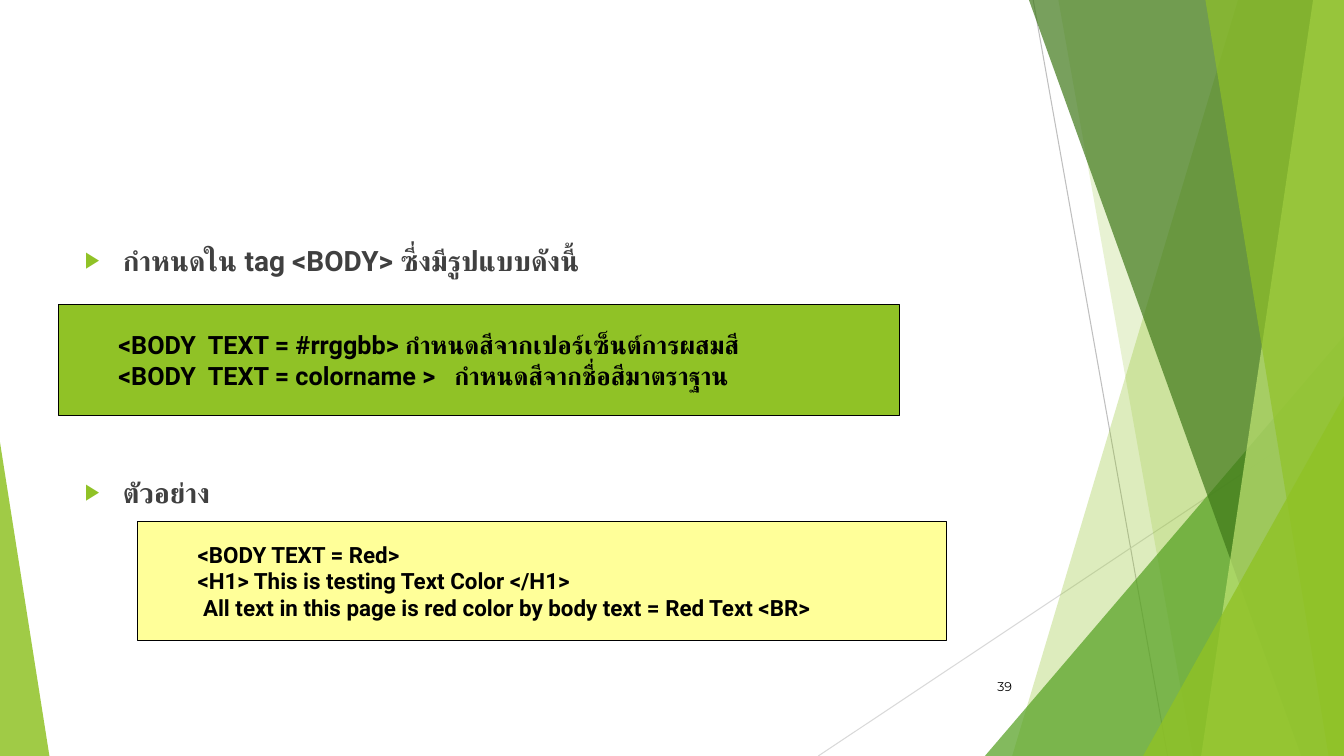
"""Build the slide on setting the text colour in the BODY tag."""
from lxml import etree
from pptx import Presentation
from pptx.dml.color import RGBColor
from pptx.enum import shapes, text
from pptx.oxml import ns
from pptx.util import Pt

COLORS = {
    "lime": "90C226", "green": "54A021", "forest": "3F7819", "pale": "C0E474",
    "yellow": "FFFF99", "grey": "BFBFBF", "light": "D9D9D9",
    "ink": "404040", "black": "000000", "white": "FFFFFF",
}
WIDTH, HEIGHT = 960, 540


def paint(shape, color, opacity=100):
    shape.shadow.inherit = False
    shape.line.fill.background()
    shape.fill.solid()
    shape.fill.fore_color.rgb = RGBColor.from_string(COLORS[color])
    if opacity < 100:
        tint = shape.fill._xPr.find(".//" + ns.qn("a:srgbClr"))
        etree.SubElement(tint, ns.qn("a:alpha"), val=str(opacity * 1000))


def format_font(paragraph, color, **values):
    for name, value in values.items():
        setattr(paragraph.font, name, value)
    paragraph.font.color.rgb = RGBColor.from_string(COLORS[color])


prs = Presentation()
prs.slide_width, prs.slide_height = Pt(WIDTH), Pt(HEIGHT)
slide = prs.slides.add_slide(prs.slide_layouts[1])
slide.background.fill.solid()
slide.background.fill.fore_color.rgb = RGBColor.from_string(COLORS["white"])
heading = slide.shapes.title
heading.element.getparent().remove(heading.element)
topics = slide.placeholders[1]

rays = [("grey", 738, 0, 834, HEIGHT), ("light", WIDTH, 290, 584.5, HEIGHT)]
for color, *ends in rays:
    ray = slide.shapes.add_connector(
        shapes.MSO_CONNECTOR.STRAIGHT, *[Pt(end) for end in ends])
    ray.line.color.rgb = RGBColor.from_string(COLORS[color])
    ray.line.width = Pt(0.75)
    etree.SubElement(ray._element.spPr, ns.qn("a:effectLst"))

bands = [
    ("lime", 30, 884.3, 723), ("lime", 20, 756, 852),
    ("green", 72, 703.5, 240, 256.5, 1),
    ("forest", 70, 735, 929.5), ("pale", 70, 938, 858), ("lime", 65, 861, 949),
    ("lime", 80, 816.5, 283, 143.5, 1), ("lime", 85, 0, 316, 35.3, 0),
]
for color, opacity, *place in bands:
    if len(place) == 2:
        top_x, bottom_x = place
        outline = slide.shapes.build_freeform(Pt(top_x), 0)
        outline.add_line_segments([
            (Pt(WIDTH), 0), (Pt(WIDTH), Pt(HEIGHT)), (Pt(bottom_x), Pt(HEIGHT))])
        band = outline.convert_to_shape()
    else:
        left, top, width, apex = place
        band = slide.shapes.add_shape(
            shapes.MSO_SHAPE.ISOSCELES_TRIANGLE,
            Pt(left), Pt(top), Pt(width), Pt(HEIGHT - top))
        band.adjustments[0] = apex
    paint(band, color, opacity)

topics.left, topics.top, topics.width, topics.height = Pt(53.5), Pt(170), Pt(677), Pt(305)
topics.text_frame.auto_size = text.MSO_AUTO_SIZE.NONE
topics.text_frame.vertical_anchor = text.MSO_ANCHOR.TOP
topics.text_frame.text = "กำหนดใน tag <BODY> ซี่งมีรูปแบบดังนี้\nตัวอย่าง"
for topic, gap in zip(topics.text_frame.paragraphs, (0, 142)):
    topic.space_before = Pt(gap)
    props = topic._p.get_or_add_pPr()
    props.set("marL", str(Pt(27)))
    props.set("indent", str(Pt(-27)))
    bullet_color = etree.SubElement(props, ns.qn("a:buClr"))
    etree.SubElement(bullet_color, ns.qn("a:srgbClr"), val=COLORS["lime"])
    etree.SubElement(props, ns.qn("a:buSzPct"), val="80000")
    etree.SubElement(props, ns.qn("a:buChar"), char="▶")
    format_font(topic, "ink", name="Roboto", size=Pt(20), bold=True)

page = slide.shapes.add_textbox(Pt(676), Pt(476), Pt(54), Pt(29)).text_frame
page.word_wrap = True
page.vertical_anchor = text.MSO_ANCHOR.MIDDLE
page.text = "39"
page.paragraphs[0].alignment = text.PP_ALIGN.RIGHT
format_font(page.paragraphs[0], "black", name="Montserrat", size=Pt(9))

panels = [
    ("lime", 18, (41.5, 217.5, 601, 79), [
        "<BODY  TEXT = #rrggbb> กำหนดสีจากเปอร์เซ็นต์การผสมสี",
        "<BODY  TEXT = colorname >   กำหนดสีจากชื่อสีมาตราฐาน"]),
    ("yellow", 16, (98, 372.5, 578, 85), [
        "<BODY TEXT = Red>",
        "<H1> This is testing Text Color </H1>",
        " All text in this page is red color by body text = Red Text <BR>"]),
]
for color, size, box, code in panels:
    panel = slide.shapes.add_shape(
        shapes.MSO_SHAPE.RECTANGLE, *[Pt(length) for length in box])
    paint(panel, color)
    panel.line.color.rgb = RGBColor.from_string(COLORS["black"])
    panel.line.width = Pt(0.75)
    panel.text_frame.word_wrap = False
    panel.text_frame.vertical_anchor = text.MSO_ANCHOR.MIDDLE
    panel.text_frame.text = "\n".join(code)
    for line in panel.text_frame.paragraphs:
        line.level = 1
        line.alignment = text.PP_ALIGN.LEFT
        line._p.get_or_add_pPr().set("marL", str(Pt(36)))
        format_font(line, "black", name="Roboto", size=Pt(size), bold=True)

prs.save("out.pptx")
